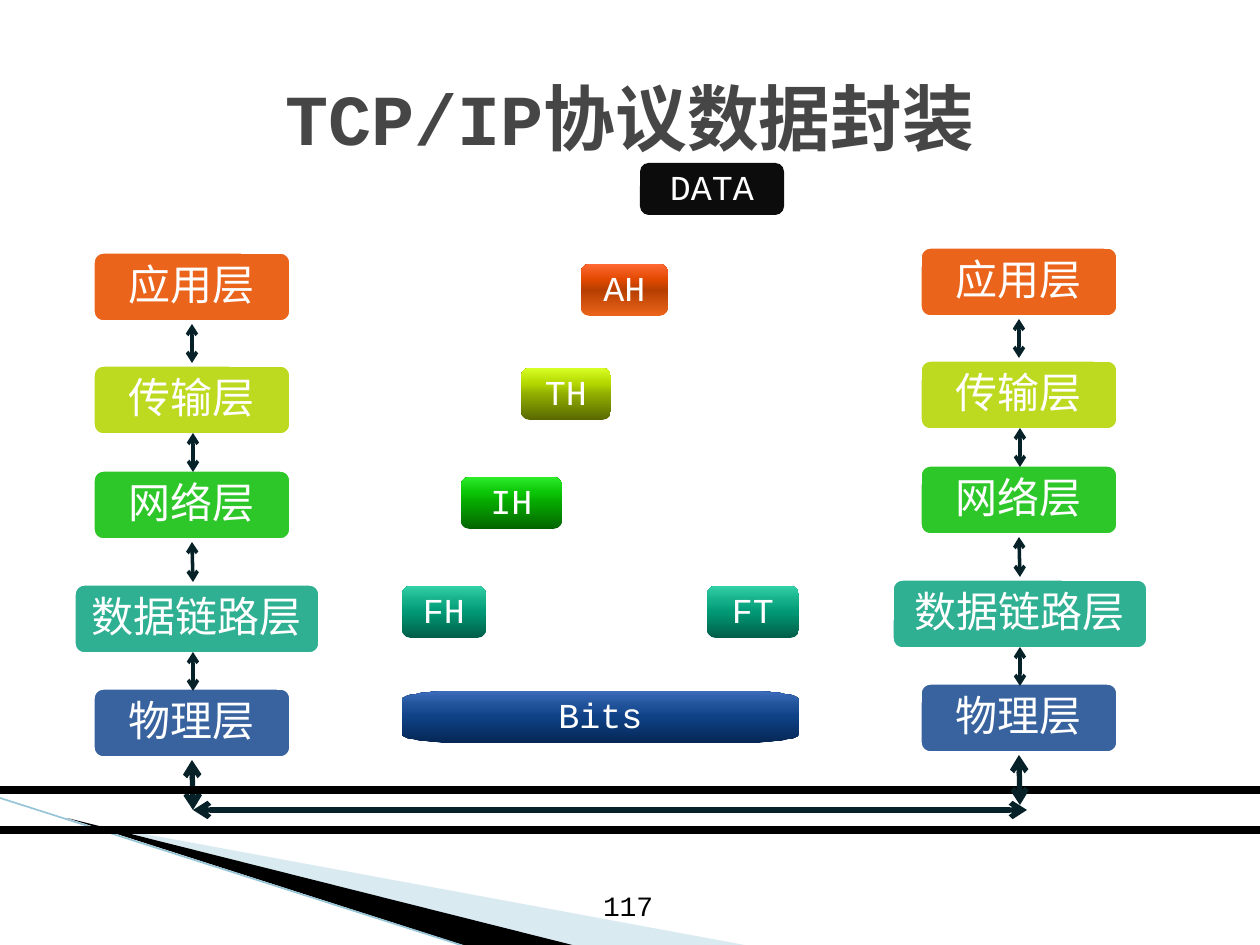
import math

from lxml import etree
from pptx import Presentation
from pptx.dml.color import RGBColor
from pptx.enum.shapes import MSO_CONNECTOR, MSO_SHAPE
from pptx.enum.text import MSO_ANCHOR, PP_ALIGN
from pptx.oxml.ns import qn
from pptx.util import Pt

PX = 914400 / 126
STRAIGHT = MSO_CONNECTOR.STRAIGHT
ROUNDED = MSO_SHAPE.ROUNDED_RECTANGLE
TOP, MIDDLE = MSO_ANCHOR.TOP, MSO_ANCHOR.MIDDLE
LEFT, CENTER = PP_ALIGN.LEFT, PP_ALIGN.CENTER
SIDE_TOP, SIDE_BOTTOM = 0, 2
LATIN, CHINESE = "Courier New", "Noto Sans CJK SC"

COLORS = {
    "white": "FFFFFF", "black": "000000", "title": "464646",
    "arrow": "062228", "wing": "A0CBDC", "wing_edge": "97C5D8",
    "application": "EB641B", "transport": "BDDA20", "network": "2EC729",
    "link": "30B092", "physical": "39639E", "data": "0C0C0C",
}
GRADIENTS = {
    "application": ("EB641B", "B63F00", "E14800", "FF6933"),
    "transport": ("596900", "91AE00", "B4D700", "D7FF25"),
    "network": ("036500", "06A600", "0BC507", "2CEC28"),
    "link": ("005E49", "019975", "12AC87", "32D1A7"),
    "physical": ("062754", "0E4186", "1D5097", "3D6CBB"),
}
GRADIENT_STOPS = (0, 50, 70, 100)

LAYERS = [
    ("应用层", "application", 250),
    ("传输层", "transport", 363),
    ("网络层", "network", 468),
    ("数据链路层", "link", 582),
    ("物理层", "physical", 686),
]
LAYER_WIDTH, LAYER_HEIGHT = 202, 74
UNITS = [
    ("AH", "application", 581, 264, 87),
    ("TH", "transport", 521, 368, 90),
    ("IH", "network", 461, 477, 101),
    ("FH", "link", 402, 586, 84),
    ("Bits", "physical", 402, 691, 397),
    ("DATA", "data", 640, 163, 144),
    ("FT", "link", 707, 586, 92),
]
UNIT_HEIGHT = 52


def px(*lengths):
    return [round(length * PX) for length in lengths]


def rgb(name):
    return RGBColor.from_string(COLORS[name])


def write(shape, text, size=20, font=LATIN, color="white", bold=False,
          align=CENTER, anchor=MIDDLE, inset=(9, 6), spacing=0.9, wrap=False):
    frame = shape.text_frame
    frame.word_wrap = wrap
    frame.vertical_anchor = anchor
    frame.margin_left, frame.margin_top = px(*inset)
    frame.margin_right, frame.margin_bottom = px(*inset)
    paragraph = frame.paragraphs[0]
    paragraph.alignment = align
    paragraph.line_spacing = spacing
    run = paragraph.add_run()
    run.text = text
    run.font.size = Pt(size)
    run.font.bold = bold
    run.font.name = font
    run.font.color.rgb = rgb(color)
    etree.SubElement(run.font._element, qn("a:ea"), typeface=CHINESE)


def add_label(slide, text, box, **text_format):
    write(slide.shapes.add_textbox(*px(*box)), text, wrap=True, **text_format)


def paint(shape, color):
    shape.shadow.inherit = False
    shape.fill.solid()
    shape.fill.fore_color.rgb = rgb(color)
    shape.line.fill.background()


def paint_gradient(shape, colors):
    shape.fill.gradient()
    shape.fill.gradient_angle = 90
    stops = shape._element.spPr.find(qn("a:gradFill")).find(qn("a:gsLst"))
    for stop in list(stops):
        stops.remove(stop)
    for position, color in zip(GRADIENT_STOPS, colors):
        stop = etree.SubElement(stops, qn("a:gs"), pos=str(position * 1000))
        etree.SubElement(stop, qn("a:srgbClr"), val=color)


def add_polygon(slide, points, color, opacity=100):
    builder = slide.shapes.build_freeform(*points[0], scale=PX)
    builder.add_line_segments(points[1:], close=True)
    shape = builder.convert_to_shape()
    paint(shape, color)
    if opacity < 100:
        tint = shape._element.spPr.find(qn("a:solidFill"))[0]
        etree.SubElement(tint, qn("a:alpha"), val=str(opacity * 1000))
    return shape


def barrel_points(left, top, width, height):
    radius_x, radius_y = width * 0.145, height / 6
    points = []
    for degrees in range(0, 360, 90):
        for step in range(0, 91, 6):
            cosine = math.cos(math.radians(degrees + step))
            sine = math.sin(math.radians(degrees + step))
            side_x = 1 if degrees in (0, 270) else -1
            side_y = 1 if degrees < 180 else -1
            points.append((
                left + width / 2 + side_x * (width / 2 - radius_x) + radius_x * cosine,
                top + height / 2 + side_y * (height / 2 - radius_y) + radius_y * sine))
    return points


def add_layer(slide, text, color, box):
    shape = slide.shapes.add_shape(ROUNDED, *px(*box))
    paint(shape, color)
    shape.line.color.rgb = rgb("white")
    shape.line.width = Pt(4.33)
    write(shape, text, size=24, font=CHINESE, inset=(14, 9))
    return shape


def add_unit(slide, text, color, left, top, width):
    box = (left, top, width, UNIT_HEIGHT)
    if width > 200:
        shape = add_polygon(slide, barrel_points(*box), color)
    else:
        shape = slide.shapes.add_shape(ROUNDED, *px(*box))
        paint(shape, color)
    if color in GRADIENTS:
        paint_gradient(shape, GRADIENTS[color])
    write(shape, text)


def add_line(slide, start, end, color, width, arrows=False):
    connector = slide.shapes.add_connector(STRAIGHT, *px(*start, *end))
    connector.line.color.rgb = rgb(color)
    connector.line.width = Pt(width)
    if arrows:
        line = connector.line._get_or_add_ln()
        for tag in ("a:headEnd", "a:tailEnd"):
            etree.SubElement(line, qn(tag), type="arrow")
    etree.SubElement(connector._element.spPr, qn("a:effectLst"))
    return connector


def meets(shape, side, x, y):
    edge = shape.top + (shape.height if side == SIDE_BOTTOM else 0)
    center = shape.left + shape.width / 2
    return abs(center - x * PX) <= 2 * PX and abs(edge - y * PX) <= 2 * PX


def add_stack(slide, left, axis, rise, wide_left, wide_width):
    boxes = []
    for text, color, top in LAYERS:
        wide = color == "link"
        box = (wide_left if wide else left, top - rise,
               wide_width if wide else LAYER_WIDTH, LAYER_HEIGHT)
        boxes.append(add_layer(slide, text, color, box))
    for index, upper in enumerate(boxes):
        last = index == len(boxes) - 1
        bottom = 810 - rise if last else round(363 + index * 328 / 3) - rise
        top = bottom - (50 if last else 39)
        arrow = add_line(slide, (axis, bottom), (axis, top), "arrow",
                         3 if last else 2, arrows=True)
        if not last and meets(boxes[index + 1], SIDE_TOP, axis, bottom):
            arrow.begin_connect(boxes[index + 1], SIDE_TOP)
        if meets(upper, SIDE_BOTTOM, axis, top):
            arrow.end_connect(upper, SIDE_BOTTOM)


def main():
    presentation = Presentation()
    presentation.slide_width, presentation.slide_height = px(1260, 945)
    slide = presentation.slides.add_slide(presentation.slide_layouts[6])

    add_polygon(slide, [(69, 820), (750, 946), (575, 946)], "wing", opacity=40)
    add_polygon(slide, [(67, 818), (576, 946), (469, 947)], "black")
    add_line(slide, (0, 798), (467, 947), "wing_edge", 0.95)
    add_label(slide, "117", (590, 883, 110, 62), size=16, color="black",
              align=LEFT, anchor=TOP, inset=(13, 6), spacing=1.0)
    add_label(slide, "TCP/IP协议数据封装", (63, 38, 1134, 157), size=41,
              color="title", bold=True, spacing=1.0)

    add_stack(slide, 91, 193, 0, 72, 250)
    add_line(slide, (193, 810), (1027, 810), "arrow", 3, arrows=True)
    for y in (790, 830):
        add_line(slide, (0, y), (1260, y), "black", 4.33)
    add_stack(slide, 918, 1020, 5, 890, 260)
    for unit in UNITS:
        add_unit(slide, *unit)

    presentation.save("out.pptx")


if __name__ == "__main__":
    main()
